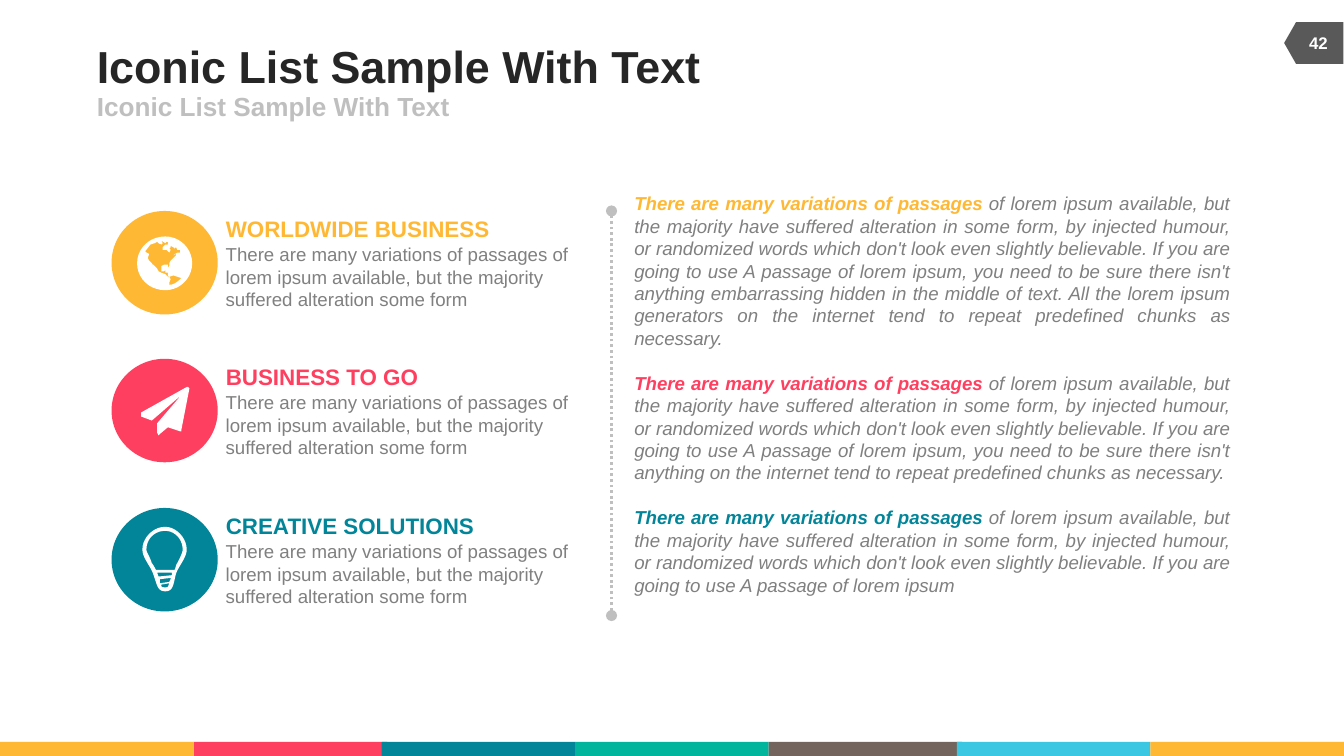
import pptx
import pptx.util
import pptx.dml.color
import pptx.enum.dml
import pptx.enum.shapes
import pptx.enum.text
from lxml import etree
from pptx.oxml.ns import qn

Inches, Pt = pptx.util.Inches, pptx.util.Pt
RGB = pptx.dml.color.RGBColor.from_string
SHAPE = pptx.enum.shapes.MSO_SHAPE
ALIGN = pptx.enum.text.PP_ALIGN
ANCHOR = pptx.enum.text.MSO_ANCHOR

COLORS = {
    "yellow": "FEB834", "red": "FF3F5F", "teal": "028599", "green": "01B59C",
    "brown": "73655D", "sky": "3BC7E2", "badge": "595959", "title": "262626",
    "light": "BFBFBF", "text": "808080", "white": "FFFFFF",
}

# Icon outlines in inches: a pair is a point, six numbers are a Bezier curve
GLOBE = [
    [(1.43, 1.96), (1.43, 2.07, 1.34, 2.16, 1.23, 2.16), (1.11, 2.16, 1.02, 2.07, 1.02, 1.96),
     (1.02, 1.85, 1.11, 1.76, 1.23, 1.76), (1.34, 1.76, 1.43, 1.85, 1.43, 1.96)],
    [(1.29, 1.9), (1.32, 1.88), (1.34, 1.88), (1.34, 1.86), (1.32, 1.86), (1.31, 1.84),
     (1.3, 1.85), (1.29, 1.84), (1.27, 1.83), (1.27, 1.84), (1.26, 1.85), (1.27, 1.86),
     (1.26, 1.88), (1.25, 1.87), (1.24, 1.86), (1.21, 1.86), (1.21, 1.84), (1.23, 1.82),
     (1.25, 1.82), (1.25, 1.8), (1.24, 1.8), (1.23, 1.81), (1.2, 1.79), (1.21, 1.81),
     (1.2, 1.82), (1.18, 1.81), (1.17, 1.8), (1.15, 1.81), (1.12, 1.82), (1.08, 1.87),
     (1.09, 1.88), (1.11, 1.89), (1.1, 1.92), (1.11, 1.94), (1.13, 1.96), (1.15, 1.99),
     (1.14, 1.97), (1.17, 2), (1.18, 2.02), (1.2, 2.03), (1.23, 2.04), (1.25, 2.06),
     (1.26, 2.07), (1.25, 2.05), (1.25, 2.03), (1.23, 2.03), (1.23, 2.01), (1.22, 2.02),
     (1.2, 2.02), (1.2, 1.98), (1.22, 1.97), (1.25, 1.97), (1.25, 1.99), (1.26, 1.98),
     (1.26, 1.96), (1.27, 1.94), (1.29, 1.92), (1.31, 1.9), (1.31, 1.89)],
    [(1.35, 2.07), (1.32, 2.06), (1.29, 2.05), (1.26, 2.06), (1.27, 2.08), (1.26, 2.1),
     (1.26, 2.12), (1.29, 2.12, 1.32, 2.1, 1.35, 2.07)],
]
PAPER_PLANE = [
    [(1.41, 2.89), (1.35, 3.2), (1.35, 3.21), (1.34, 3.21), (1.25, 3.18), (1.19, 3.23),
     (1.18, 3.24), (1.17, 3.22), (1.17, 3.15), (1.35, 2.94), (1.13, 3.13), (1.05, 3.1),
     (1.05, 3.07), (1.39, 2.88), (1.4, 2.88)],
]
LIGHT_BULB = [
    [(1.23, 3.92), (1.14, 3.92, 1.06, 4, 1.06, 4.09), (1.06, 4.15, 1.12, 4.21, 1.14, 4.27),
     (1.17, 4.35, 1.17, 4.4, 1.23, 4.4), (1.29, 4.4, 1.29, 4.35, 1.31, 4.27),
     (1.33, 4.21, 1.39, 4.15, 1.39, 4.09), (1.39, 4, 1.31, 3.92, 1.23, 3.92)],
    [(1.26, 4.33), (1.19, 4.34), (1.19, 4.31), (1.27, 4.3), (1.27, 4.31)],
    [(1.18, 4.29), (1.17, 4.26), (1.28, 4.26), (1.28, 4.28)],
    [(1.23, 4.37), (1.21, 4.37, 1.2, 4.37, 1.2, 4.35), (1.26, 4.34),
     (1.25, 4.37, 1.25, 4.37, 1.23, 4.37)],
    [(1.3, 4.24), (1.16, 4.24), (1.15, 4.22, 1.14, 4.2, 1.13, 4.19),
     (1.12, 4.15, 1.09, 4.11, 1.09, 4.09), (1.09, 4.01, 1.15, 3.95, 1.23, 3.95),
     (1.3, 3.95, 1.36, 4.01, 1.36, 4.09), (1.36, 4.11, 1.34, 4.15, 1.32, 4.19),
     (1.31, 4.2, 1.31, 4.22, 1.3, 4.24)],
]

BLURB = ("There are many variations of passages of lorem ipsum available, "
         "but the majority suffered alteration some form")
LEAD = "There are many variations of passages "
COMMON = ("of lorem ipsum available, but the majority have suffered alteration in some form, "
          "by injected humour, or randomized words which don't look even slightly believable. "
          "If you are going to use A passage of lorem ipsum")
SURE = ", you need to be sure there isn't anything "
TOPICS = [  # heading, color, top, icon, end of the passage
    ("WORLDWIDE BUSINESS", "yellow", 1.57, GLOBE,
     SURE + "embarrassing hidden in the middle of text. All the lorem ipsum generators "
     "on the internet tend to repeat predefined chunks as necessary."),
    ("BUSINESS TO GO", "red", 2.67, PAPER_PLANE,
     SURE + "on the internet tend to repeat predefined chunks as necessary."),
    ("CREATIVE SOLUTIONS", "teal", 3.78, LIGHT_BULB, ""),
]

# Widescreen slide, 16 to 9
deck = pptx.Presentation()
deck.slide_width = Inches(10)
deck.slide_height = Inches(10 * 9 / 16)
slide = deck.slides.add_slide(deck.slide_layouts[1])
shapes = slide.shapes


def write(holder, text, size, color, bold=False, anchor=ANCHOR.MIDDLE, wrap=False,
          align=ALIGN.LEFT):
    """Fill a text holder with one evenly formatted paragraph and no insets."""
    frame = holder.text_frame
    frame.margin_left = frame.margin_right = frame.margin_top = frame.margin_bottom = 0
    frame.auto_size = pptx.enum.text.MSO_AUTO_SIZE.NONE
    frame.word_wrap, frame.vertical_anchor = wrap, anchor
    paragraph = frame.paragraphs[0]
    paragraph.text, paragraph.alignment = text, align
    paragraph.space_before = Pt(0)
    if holder.is_placeholder:
        properties = paragraph._p.get_or_add_pPr()
        properties.set("marL", "0")
        properties.set("indent", "0")
        etree.SubElement(properties, qn("a:buNone"))
    font = paragraph.font
    font.name, font.size, font.bold = "Arial", Pt(size), bold
    font.color.rgb = RGB(COLORS[color])


def paint(shape, color):
    """Give a shape a plain fill without line or shadow."""
    shape.fill.solid()
    shape.fill.fore_color.rgb = RGB(COLORS[color])
    shape.line.fill.background()
    shape.shadow.inherit = False


# Color strip along the bottom
strip = zip([0, 1.44, 2.84, 4.28, 5.72, 7.12, 8.56],
            ["yellow", "red", "teal", "green", "brown", "sky", "yellow"])
for left, color in strip:
    paint(shapes.add_shape(SHAPE.RECTANGLE, Inches(left), Inches(5.52),
                           Inches(1.44), Inches(0.11)), color)

# Page number badge
badge = shapes.add_shape(SHAPE.FLOWCHART_OFFPAGE_CONNECTOR, Inches(9.62), Inches(0.1),
                         Inches(0.31), Inches(0.44))
badge.rotation = 90
paint(badge, "badge")
page_number = shapes.add_textbox(Inches(9.6), Inches(0.17), Inches(0.42), Inches(0.3))
write(page_number, "42", 9, "white", bold=True, wrap=True, align=ALIGN.CENTER)

# Title and subtitle
title, subtitle = shapes.title, slide.placeholders[1]
for heading, top, width, height, size, color in [
        (title, 0.29, 6.17, 0.39, 24, "title"), (subtitle, 0.68, 4.5, 0.22, 14, "light")]:
    heading.left, heading.top = Inches(0.72), Inches(top)
    heading.width, heading.height = Inches(width), Inches(height)
    write(heading, "Iconic List Sample With Text", size, color, bold=True)

# Iconic list
for name, color, top, icon, _ in TOPICS:
    topic = shapes.add_textbox(Inches(1.68), Inches(top + 0.03), Inches(2.68), Inches(0.2))
    write(topic, name, 12, color, bold=True)
    blurb = shapes.add_textbox(Inches(1.68), Inches(top + 0.24), Inches(2.87), Inches(0.56))
    write(blurb, BLURB, 10, "text", anchor=ANCHOR.TOP, wrap=True)
    blurb.text_frame.margin_right = Inches(0.1)
    paint(shapes.add_shape(SHAPE.OVAL, Inches(0.83), Inches(top), Inches(0.79), Inches(0.77)),
          color)

    outline = None
    for contour in icon:
        points = [contour[0]]
        for step in contour[1:]:
            if len(step) == 2:
                points.append(step)
                continue
            x0, y0 = points[-1]
            x1, y1, x2, y2, x3, y3 = step
            for t in (i / 10 for i in range(1, 11)):
                a, b, c, d = (1 - t) ** 3, 3 * t * (1 - t) ** 2, 3 * t * t * (1 - t), t ** 3
                points.append((a * x0 + b * x1 + c * x2 + d * x3,
                               a * y0 + b * y1 + c * y2 + d * y3))
        points = [(Inches(x), Inches(y)) for x, y in points]
        if outline is None:
            outline = shapes.build_freeform(*points[0])
        else:
            outline.move_to(*points[0])
        outline.add_line_segments(points[1:], close=True)
    paint(outline.convert_to_shape(), "white")

# Passages on the right
passages = shapes.add_textbox(Inches(4.72), Inches(1.43), Inches(4.43), Inches(3.2)).text_frame
passages.word_wrap = True
passages.margin_left = passages.margin_right = passages.margin_top = passages.margin_bottom = 0
for index, (_, color, _, _, ending) in enumerate(TOPICS):
    passage = passages.add_paragraph() if index else passages.paragraphs[0]
    passage.alignment = ALIGN.JUSTIFY
    passage.space_before = Pt(12 if index else 0)
    for text, run_color, bold in [(LEAD, color, True), (COMMON + ending, "text", False)]:
        run = passage.add_run()
        run.text = text
        run.font.name, run.font.size = "Arial", Pt(10)
        run.font.bold, run.font.italic = bold, True
        run.font.color.rgb = RGB(COLORS[run_color])

# Dotted divider with round ends
divider = shapes.add_connector(pptx.enum.shapes.MSO_CONNECTOR.STRAIGHT,
                               Inches(4.55), Inches(4.58), Inches(4.55), Inches(1.57))
divider.line.color.rgb = RGB(COLORS["light"])
divider.line.width = Pt(1.5)
divider.line.dash_style = pptx.enum.dml.MSO_LINE.ROUND_DOT
for end in ("a:headEnd", "a:tailEnd"):
    etree.SubElement(divider.line._get_or_add_ln(), qn(end), type="oval")
etree.SubElement(divider._element.spPr, qn("a:effectLst"))

deck.save("out.pptx")
